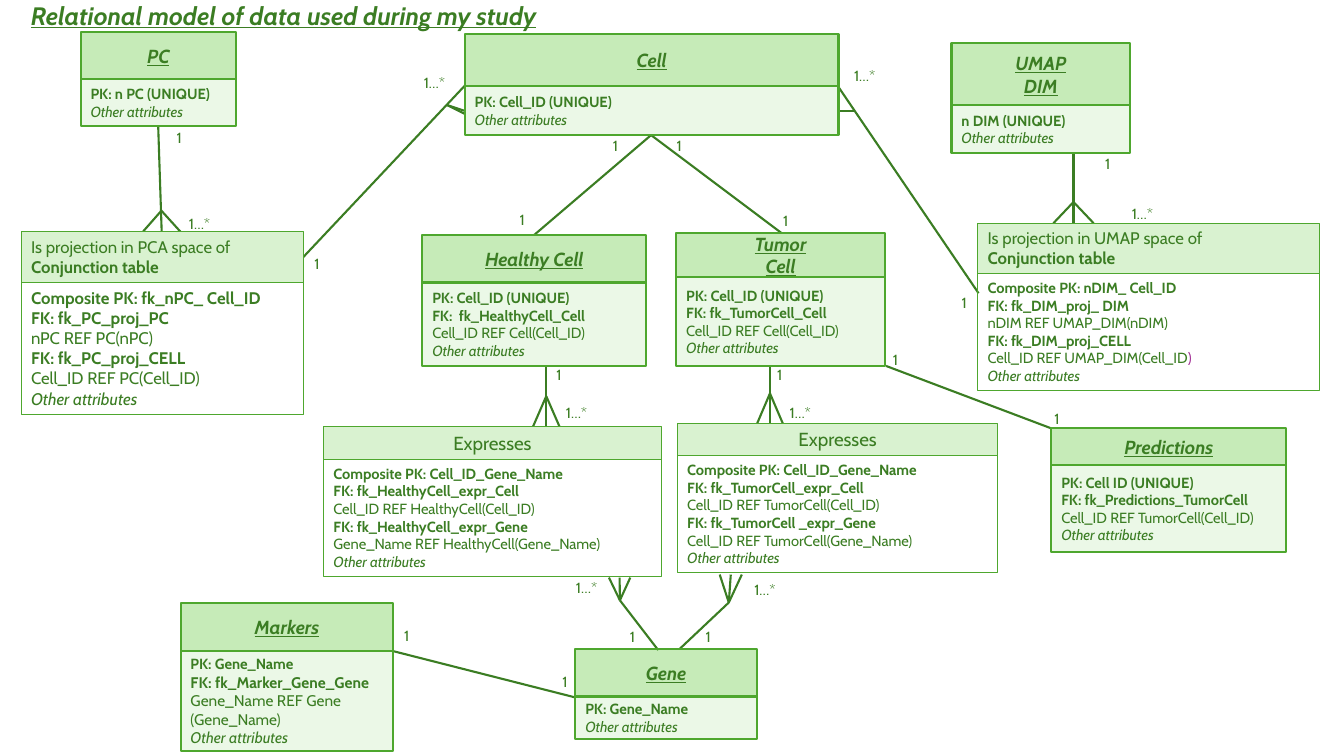
from pptx import Presentation
from pptx.dml.color import RGBColor as RGB
from pptx.enum.shapes import MSO_CONNECTOR as LINE, MSO_SHAPE as SHAPE
from pptx.enum.text import MSO_ANCHOR as ANCHOR, PP_ALIGN as ALIGN
from pptx.oxml.ns import qn
from pptx.util import Pt
from lxml import etree

COLORS = {"text": "3B7D23", "edge": "4EA72E", "head": "8ED973",
          "pale": "D9F2D0", "accent": "A02B93"}
FONT = "Cabin"
TITLE = "Relational model of data used during my study"
LAST = "Other attributes"

# Entities: heading, left, top, width, head height, body height, size after first line, keys
# A line with REF is plain, any other key line is bold
ENTITIES = [
    (["Gene"], 411, 463.7, 129.6, 33.8, 30.2, 10.5, ["PK: Gene_Name"]),
    (["Cell"], 332, 24.5, 267, 36.7, 35.3, 10.5, ["PK: Cell_ID (UNIQUE)"]),
    (["Tumor", "Cell"], 483.1, 166.3, 149, 31.7, 63.4, 10.5,
     ["PK: Cell_ID (UNIQUE)", "FK: fk_TumorCell_Cell", "Cell_ID REF Cell(Cell_ID)"]),
    (["Healthy Cell"], 301.7, 167.8, 159.8, 34, 59.6, 10.5,
     ["PK: Cell_ID (UNIQUE)", "FK:  fk_HealthyCell_Cell", "Cell_ID REF Cell(Cell_ID)"]),
    (["PC"], 57.6, 23.2, 111, 33.4, 33.2, 10.5, ["PK: n PC (UNIQUE)"]),
    (["Markers"], 129, 430.6, 152, 34.5, 71.3, 11,
     ["PK: Gene_Name", "FK: fk_Marker_Gene_Gene", "Gene_Name REF Gene (Gene_Name)"]),
    (["UMAP", "DIM"], 679.7, 31, 127.5, 44, 34.5, 10.5, ["n DIM (UNIQUE)"]),
    (["Predictions"], 751, 306, 167.8, 26, 62.6, 10.5,
     ["PK: Cell ID (UNIQUE)", "FK: fk_Predictions_TumorCell",
      "Cell_ID REF TumorCell(Cell_ID)"]),
]

# Conjunction tables: same fields; text after | takes the accent colour
CONJUNCTIONS = [
    (["Expresses"], 231.1, 304.6, 241.2, 23.8, 83.5, 10.5,
     ["Composite PK: Cell_ID_Gene_Name", "FK: fk_HealthyCell_expr_Cell",
      "Cell_ID REF HealthyCell(Cell_ID)", "FK: fk_HealthyCell_expr_Gene",
      "Gene_Name REF HealthyCell(Gene_Name)"]),
    (["Expresses"], 483.8, 302.2, 229, 23.5, 83.5, 10.5,
     ["Composite PK: Cell_ID_Gene_Name", "FK: fk_TumorCell_expr_Cell",
      "Cell_ID REF TumorCell(Cell_ID)", "FK: fk_TumorCell _expr_Gene",
      "Cell_ID REF TumorCell(Gene_Name)"]),
    (["Is projection in PCA space of", "Conjunction table"],
     15.1, 165.6, 201.6, 36.2, 94.3, 12,
     ["Composite PK: fk_nPC_ Cell_ID", "FK: fk_PC_proj_PC", "nPC REF PC(nPC)",
      "FK: fk_PC_proj_CELL", "Cell_ID REF PC(Cell_ID)"]),
    (["Is projection in UMAP space of", "Conjunction table"],
     698.4, 159.3, 244, 36.3, 83.5, 10.5,
     ["Composite PK: nDIM_ Cell_ID", "FK: fk_DIM_proj_ DIM",
      "nDIM REF UMAP_DIM(nDIM)", "FK: fk_DIM_proj_CELL",
      "Cell_ID REF UMAP_DIM(Cell_ID|)"]),
]

# Plain links: from x, y, to x, y
LINKS = [
    (558, 166.3, 465.1, 96.5), (381.6, 167.8, 465.1, 96.5),
    (332, 61.2, 216.7, 183.6), (598.3, 61.2, 699, 209.5),
    (411, 498.2, 280.8, 465.1), (751, 306, 632.9, 261.4),
    (319, 74.9, 332, 79.2), (319, 74.9, 332, 81.4), (598, 79.2, 610.6, 79.2),
]

# Crow's feet: far end, apex, middle toe, spread of the outer toes
FEET = [
    ((113, 90), (115.3, 150.5), (115.5, 165.4), 13.3),
    ((766.8, 108.7), (766.8, 144.3), (766.8, 159.5), 14.4),
    ((390.2, 261.4), (390.2, 283), (390.2, 304.6), 9.4),
    ((550, 261), (550, 281), (550, 303), 9.4),
    ((485.3, 463.7), (520.6, 430.4), (522, 410.4), 7.9),
    ((470.2, 464.4), (442.8, 428.8), (442.6, 412.6), 7.6),
]

# Cardinalities: left, top, width
CARDINALITIES = {
    "1": [(87.8, 88.6, 80.6), (552.2, 147.6, 18), (357.1, 146.9, 31.7),
          (751, 107.3, 80.6), (462.2, 94.3, 46), (413.3, 94.3, 52.6),
          (630.7, 247, 18), (745.9, 289.4, 18), (547.9, 257.8, 18),
          (390.2, 257.8, 18), (496.8, 445, 18), (442.8, 445, 18),
          (679.7, 206.6, 18), (217.4, 178.6, 18), (281.5, 444.2, 18),
          (394.6, 477.4, 18)],
    "1…*": [(123.1, 149.8, 38.9), (270, 49, 80.6), (799.2, 142.6, 33.8),
            (577.4, 43.9, 80.6), (552.2, 285.1, 38.9), (527, 411.1, 38.9),
            (392.4, 285.1, 38.9), (399.6, 409.7, 38.9)],
}
HEADING = {"bold": True, "italic": True, "underline": True}


def color(name):
    return RGB.from_string(COLORS[name])


def write(tf, lines, align):
    """Fill a frame with (text, size, format) lines."""
    for i, (text, size, fmt) in enumerate(lines):
        p = tf.add_paragraph() if i else tf.paragraphs[0]
        p.alignment = align
        for part, tint in zip(text.split("|"), ("text", "accent")):
            r = p.add_run()
            r.text = part
            r.font.color.rgb = color(tint)
            for key, value in {"name": FONT, "size": Pt(size), **fmt}.items():
                setattr(r.font, key, value)


def box(area, lines, fill, width, align, anchor, alpha=None):
    sp = slide.shapes.add_shape(SHAPE.RECTANGLE, *map(Pt, area))
    sp.shadow.inherit = False
    sp.line.color.rgb = color("edge")
    sp.line.width = Pt(width)
    if fill:
        sp.fill.solid()
        sp.fill.fore_color.rgb = color(fill)
    else:
        sp.fill.background()
    if alpha:
        rgb = sp.fill._xPr.find(qn("a:solidFill"))[0]
        etree.SubElement(rgb, qn("a:alpha")).set("val", str(alpha * 1000))
    sp.text_frame.word_wrap = True
    sp.text_frame.vertical_anchor = anchor
    write(sp.text_frame, lines, align)


def label(area, line):
    tf = slide.shapes.add_textbox(*map(Pt, area)).text_frame
    tf.word_wrap = False
    write(tf, [line], ALIGN.CENTER)


def link(x1, y1, x2, y2):
    c = slide.shapes.add_connector(LINE.STRAIGHT, *map(Pt, (x1, y1, x2, y2)))
    c.line.color.rgb = color("text")
    c.line.width = Pt(1.5)
    etree.SubElement(c._element.spPr, qn("a:effectLst"))


def body_lines(keys, first, size):
    lines = [(key, size if i else first, {"bold": " REF " not in key})
             for i, key in enumerate(keys)]
    return lines + [(LAST, size, {"italic": True})]


prs = Presentation()
prs.slide_width, prs.slide_height = Pt(960), Pt(540)
slide = prs.slides.add_slide(prs.slide_layouts[6])

# Links and crow's feet
for ends in LINKS:
    link(*ends)
for far, apex, toe, spread in FEET:
    if abs(far[0] - apex[0]) < 3:
        link(*far, *toe)
    else:
        link(*far, *apex)
        link(*apex, *toe)
    for side in (-spread, spread):
        link(*apex, toe[0] + side, toe[1])

# Entities
for names, x, y, w, head, body, size, keys in ENTITIES:
    box((x, y, w, head), [(n, 13.5, HEADING) for n in names],
        "head", 1.5, ALIGN.CENTER, ANCHOR.MIDDLE, 50)
    box((x, y + head, w, body), body_lines(keys, 10.5, size),
        "pale", 1.5, ALIGN.LEFT, ANCHOR.MIDDLE, 50)

# Conjunction tables
for names, x, y, w, head, body, size, keys in CONJUNCTIONS:
    single = len(names) == 1
    box((x, y, w, head),
        [(n, 13.5 if single else 12, {"bold": i > 0}) for i, n in enumerate(names)],
        "pale", 0.75, ALIGN.CENTER if single else ALIGN.LEFT, ANCHOR.TOP)
    box((x, y + head, w, body), body_lines(keys, size, size),
        None, 0.75, ALIGN.LEFT, ANCHOR.TOP)

# Cardinalities and title
for text, spots in CARDINALITIES.items():
    for x, y, w in spots:
        label((x, y, w, 20), (text, 10.5, {}))
label((-37.4, -3.6, 480.2, 29), (TITLE, 18, HEADING))

prs.save("out.pptx")
